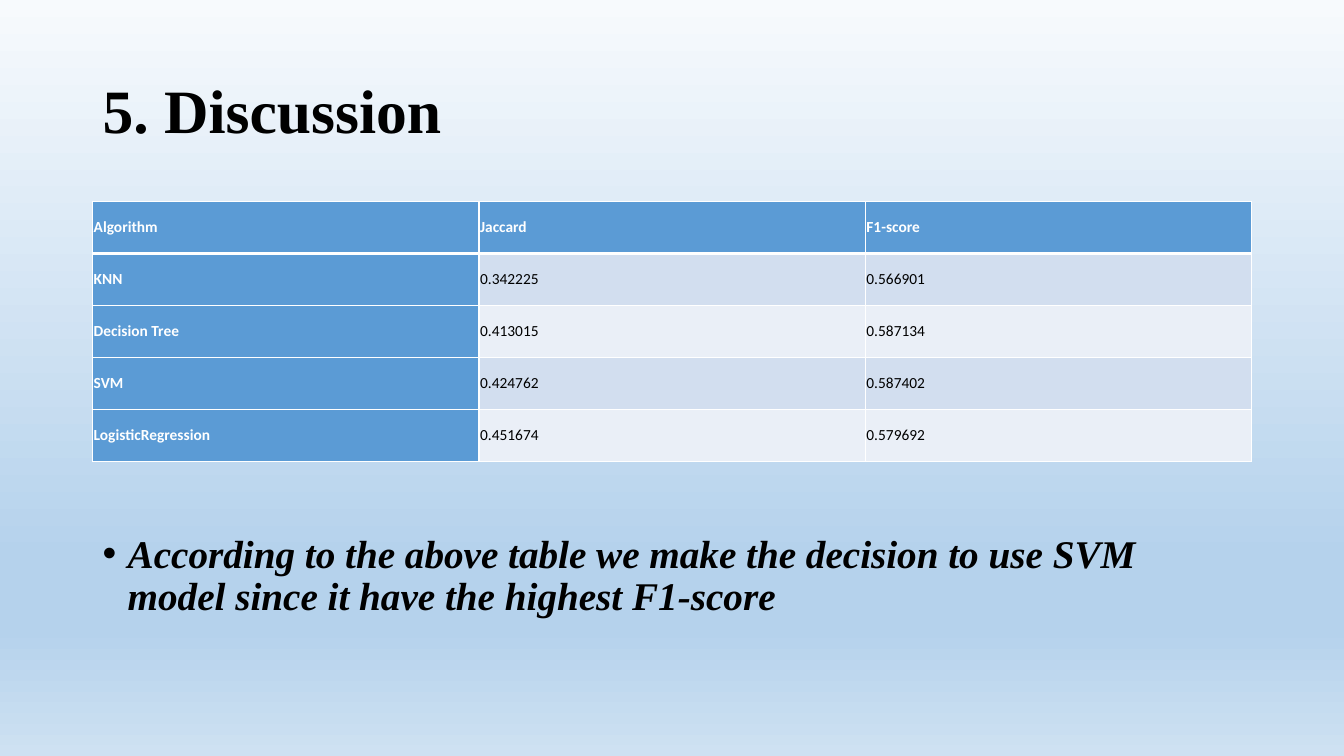
from dataclasses import dataclass

from lxml import etree
from pptx import Presentation
from pptx.dml.color import RGBColor
from pptx.enum.text import MSO_ANCHOR
from pptx.oxml.ns import qn
from pptx.util import Pt

MIDDLE = MSO_ANCHOR.MIDDLE
TOP = MSO_ANCHOR.TOP

LEFT, WIDTH = 66.2, 828
BLUE, WHITE, BLACK = "5B9BD5", "FFFFFF", "000000"
BANDS = ("D2DEEF", "EAEFF7")
STOPS = ((0, "F7FAFD"), (74, "B5D2EC"), (83, "B5D2EC"), (100, "CEE1F2"))
SERIF = {"name": "Times New Roman", "bold": True}
ROWS = (
    ("Algorithm", "Jaccard", "F1-score"),
    ("KNN", "0.342225", "0.566901"),
    ("Decision Tree", "0.413015", "0.587134"),
    ("SVM", "0.424762", "0.587402"),
    ("LogisticRegression", "0.451674", "0.579692"),
)


@dataclass
class Block:
    text: str
    top: float
    height: float
    anchor: MSO_ANCHOR
    font: dict
    before: float = 0
    bullet: bool = False


BLOCKS = (
    Block("5. Discussion", 28.8, 104.4, MIDDLE, SERIF | {"size": Pt(44)}),
    Block(
        "According to the above table we make the decision to use SVM model "
        "since it have the highest F1-score",
        378, 108.7, TOP, SERIF | {"size": Pt(28), "italic": True}, 10, True,
    ),
)


def color(code: str) -> RGBColor:
    return RGBColor.from_string(code)


def style(target, values: dict) -> None:
    for name, value in values.items():
        setattr(target, name, value)


def write(para, text: str, font: dict, code: str) -> None:
    run = para.add_run()
    run.text = text
    style(run.font, font)
    run.font.color.rgb = color(code)


def paint(slide) -> None:
    fill = slide.background.fill
    fill.gradient()
    fill.gradient_angle = 270
    stops = slide.element.find(".//" + qn("a:gsLst"))
    for old in list(stops):
        stops.remove(old)
    for place, code in STOPS:
        stop = etree.SubElement(stops, qn("a:gs"), pos=str(place * 1000))
        etree.SubElement(stop, qn("a:srgbClr"), val=code)


def add_block(slide, block: Block) -> None:
    box = slide.shapes.add_textbox(
        Pt(LEFT), Pt(block.top), Pt(WIDTH), Pt(block.height))
    frame = box.text_frame
    style(frame, {"word_wrap": True, "vertical_anchor": block.anchor})
    para = frame.paragraphs[0]
    style(para, {"line_spacing": 0.9, "space_before": Pt(block.before)})
    write(para, block.text, block.font, BLACK)
    if block.bullet:
        props = para._p.get_or_add_pPr()
        props.set("marL", str(Pt(18)))
        props.set("indent", str(-Pt(18)))
        etree.SubElement(props, qn("a:buFont"), typeface="Arial")
        etree.SubElement(props, qn("a:buChar"), char="•")


def edge(cell, sides: dict) -> None:
    props = cell._tc.get_or_add_tcPr()
    for spot, (side, width) in enumerate(sides.items()):
        line = etree.Element(qn("a:ln" + side), w=str(Pt(width)))
        fill = etree.SubElement(line, qn("a:solidFill"))
        etree.SubElement(fill, qn("a:srgbClr"), val=WHITE)
        props.insert(spot, line)


def add_cell(cell, text: str, row: int, col: int) -> None:
    head = row == 0 or col == 0
    inset = Pt(0.75)
    style(cell, {
        "vertical_anchor": MIDDLE, "margin_left": inset,
        "margin_right": inset, "margin_top": inset, "margin_bottom": inset,
    })
    cell.fill.solid()
    cell.fill.fore_color.rgb = color(BLUE if head else BANDS[(row - 1) % 2])
    para = cell.text_frame.paragraphs[0]
    style(para, {"space_before": Pt(12), "space_after": Pt(3)})
    font = {"name": "Calibri", "size": Pt(11), "bold": head}
    write(para, text, font, WHITE if head else BLACK)
    edge(cell, {"L": 1, "R": 1, "T": 3 if row == 1 else 1,
                "B": 3 if row == 0 else 1})


def add_scores(slide) -> None:
    count, span = len(ROWS), len(ROWS[0])
    high = 37.15
    table = slide.shapes.add_table(
        count, span, Pt(LEFT), Pt(144), Pt(WIDTH), Pt(high * count)).table
    for col in table.columns:
        col.width = Pt(WIDTH / span)
    for row, texts in enumerate(ROWS):
        table.rows[row].height = Pt(high)
        for col, text in enumerate(texts):
            add_cell(table.cell(row, col), text, row, col)


def main() -> None:
    deck = Presentation()
    style(deck, {"slide_width": Pt(960), "slide_height": Pt(540)})
    slide = deck.slides.add_slide(deck.slide_layouts[6])
    paint(slide)
    for block in BLOCKS:
        add_block(slide, block)
    add_scores(slide)
    deck.save("out.pptx")


if __name__ == "__main__":
    main()
